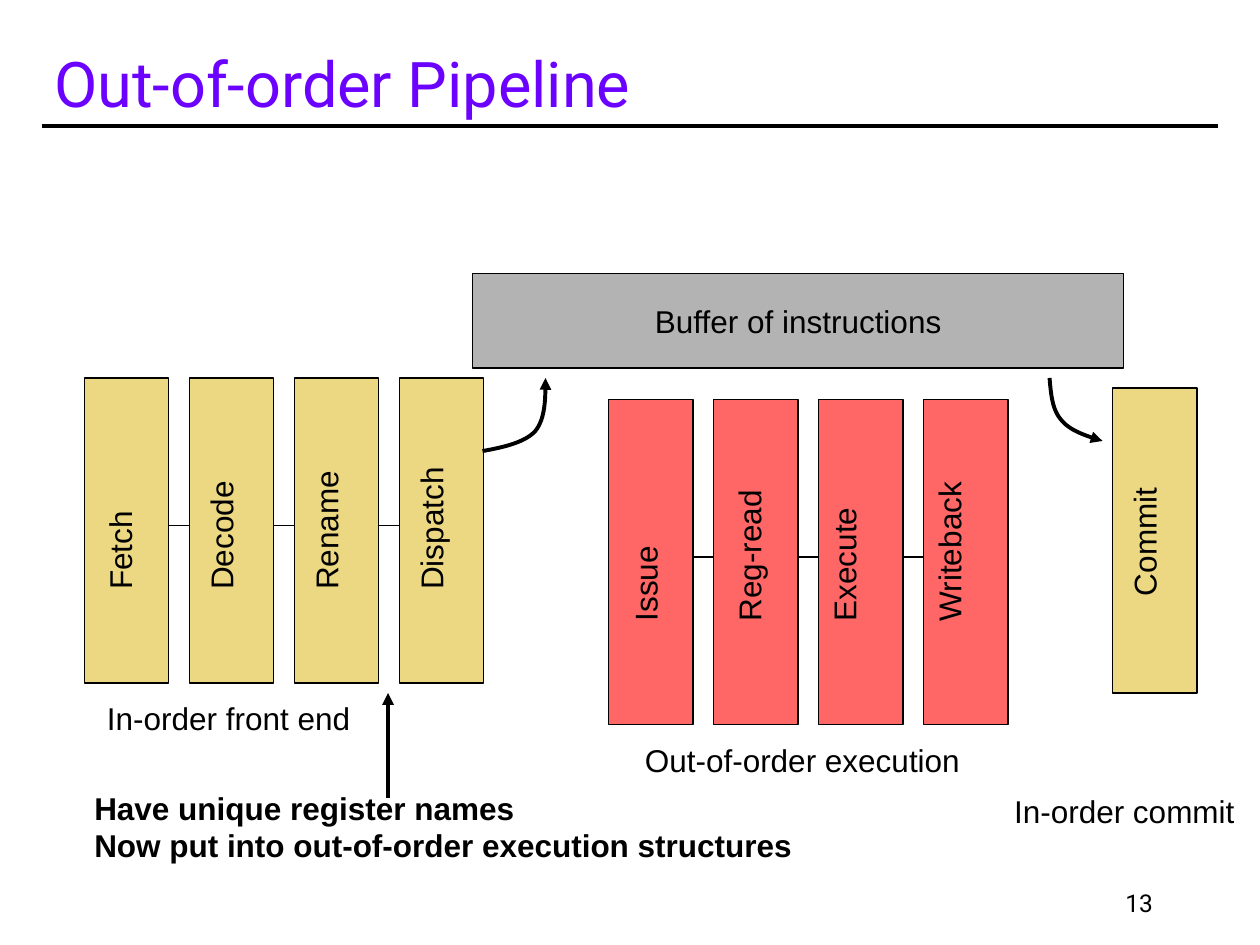
import pptx
import pptx.dml.color
import pptx.enum.shapes
import pptx.enum.text
import pptx.oxml
import pptx.oxml.ns
import pptx.util

Inches = pptx.util.Inches
Pt = pptx.util.Pt
Align = pptx.enum.text.PP_ALIGN
Anchor = pptx.enum.text.MSO_ANCHOR
AutoSize = pptx.enum.text.MSO_AUTO_SIZE

BLACK, PURPLE, GRAY = "000000", "6B02FF", "B3B3B3"
GOLD, RED = "ECD882", "FF6666"
STAGE_WIDTH = 0.67
STAGE_PITCH = 2.5 / 3


def color(value):
    return pptx.dml.color.RGBColor.from_string(value)


def add_element(parent, tag, **attributes):
    element = pptx.oxml.parse_xml(f"<a:{tag} {pptx.oxml.ns.nsdecls('a')}/>")
    for name, value in attributes.items():
        element.set(name, value)
    parent.append(element)


def cubic_points(start, first, second, end, steps=12):
    """Sample a Bezier curve, leaving out its start."""
    for step in range(1, steps + 1):
        t = step / steps
        weights = ((1 - t) ** 3, 3 * t * (1 - t) ** 2, 3 * t * t * (1 - t), t ** 3)
        yield tuple(
            sum(weight * value for weight, value in zip(weights, axis))
            for axis in zip(start, first, second, end)
        )


class Painter:
    def __init__(self, page, font="Arial", size=18):
        self.page = page
        self.shapes = page.shapes
        self.font = font
        self.size = size

    def format_text(self, frame, size=None, font=None, fill=BLACK, bold=False, align=Align.LEFT):
        for para in frame.paragraphs:
            para.alignment = align
            for span in para.runs:
                span.font.size = Pt(size or self.size)
                span.font.name = font or self.font
                span.font.bold = bold
                span.font.color.rgb = color(fill)

    def outline(self, shape, width, arrow=False):
        shape.line.color.rgb = color(BLACK)
        shape.line.width = Pt(width)
        if arrow:
            add_element(shape.line._get_or_add_ln(), "tailEnd", type="triangle")

    def title(self, text, left, top, width, height):
        box = self.shapes.title
        box.left, box.top = Inches(left), Inches(top)
        box.width, box.height = Inches(width), Inches(height)
        frame = box.text_frame
        frame.text = text
        frame.vertical_anchor = Anchor.BOTTOM
        frame.auto_size = AutoSize.NONE
        self.format_text(frame, 36, "Roboto", PURPLE)

    def text(self, text, left, top, width, height, rotation=0, **style):
        box = self.shapes.add_textbox(Inches(left), Inches(top), Inches(width), Inches(height))
        box.rotation = rotation
        frame = box.text_frame
        frame.text = text
        frame.word_wrap = False
        frame.auto_size = AutoSize.SHAPE_TO_FIT_TEXT
        self.format_text(frame, **style)
        return box

    def page_number(self, text, left, top, width, height):
        box = self.text(text, left, top, width, height, size=14, font="Roboto", align=Align.RIGHT)
        box.text_frame.auto_size = AutoSize.NONE
        box.text_frame.word_wrap = True
        box.text_frame.vertical_anchor = Anchor.BOTTOM

    def block(self, left, top, width, height, fill, text=""):
        shape = self.shapes.add_shape(
            pptx.enum.shapes.MSO_SHAPE.RECTANGLE,
            Inches(left), Inches(top), Inches(width), Inches(height))
        shape.shadow.inherit = False
        shape.fill.solid()
        shape.fill.fore_color.rgb = color(fill)
        self.outline(shape, 0.75)
        if text:
            frame = shape.text_frame
            frame.text = text
            frame.word_wrap = False
            frame.vertical_anchor = Anchor.MIDDLE
            self.format_text(frame, align=Align.CENTER)

    def line(self, start, end, width=0.75, arrow=False):
        connector = self.shapes.add_connector(
            pptx.enum.shapes.MSO_CONNECTOR.STRAIGHT, *map(Inches, start + end))
        self.outline(connector, width, arrow)
        add_element(connector._element.spPr, "effectLst")

    def curved_arrow(self, start, *segments):
        """Each segment holds two control points and an end point."""
        points, last = [], start
        for segment in segments:
            points.extend(cubic_points(last, *segment))
            last = segment[-1]
        builder = self.shapes.build_freeform(*map(Inches, start))
        builder.add_line_segments([tuple(map(Inches, point)) for point in points], close=False)
        shape = builder.convert_to_shape()
        shape.shadow.inherit = False
        shape.fill.background()
        self.outline(shape, 2.25, arrow=True)

    def stages(self, left, top, height, fill, text_bottom, link_y, labels):
        """Draw linked stages; a label is a word, its length and its centre's offset."""
        for index, (word, length, offset) in enumerate(labels):
            x = left + index * STAGE_PITCH
            if index:
                self.line((x - STAGE_PITCH + STAGE_WIDTH, link_y), (x, link_y))
            self.block(x, top, STAGE_WIDTH, height, fill)
            center_y = text_bottom - length / 2
            self.text(word, x + offset - length / 2, center_y - 0.25, length, 0.5, rotation=270)


def main():
    deck = pptx.Presentation()
    deck.slide_width, deck.slide_height = Inches(10), Inches(7.5)
    painter = Painter(deck.slides.add_slide(deck.slide_layouts[5]))

    painter.line((0.33, 1), (9.67, 1), 2.25)
    painter.title("Out-of-order Pipeline", 0.33, 0.25, 8.75, 0.75)

    painter.stages(0.67, 3, 2.42, GOLD, 4.78, 4.17, [
        ("Fetch", 1.03, 0.33), ("Decode", 1.35, 0.3),
        ("Rename", 1.46, 0.3), ("Dispatch", 1.5, 0.3)])
    painter.stages(8.83, 3.08, 2.42, GOLD, 4.83, 4.17, [("Commit", 1.35, 0.3)])
    painter.block(3.75, 2.17, 5.17, 0.75, GRAY, "Buffer of instructions")
    painter.curved_arrow(
        (3.83, 3.58),
        ((4, 3.55), (4.17, 3.51), (4.25, 3.42)),
        ((4.33, 3.32), (4.33, 3.16), (4.33, 3)))
    painter.curved_arrow(
        (8.33, 3),
        ((8.34, 3.12), (8.35, 3.25), (8.42, 3.33)),
        ((8.49, 3.42), (8.62, 3.46), (8.75, 3.5)))
    painter.stages(4.83, 3.17, 2.58, RED, 5.03, 4.42, [
        ("Issue", 1, 0.34), ("Reg-read", 1.59, 0.33),
        ("Execute", 1.41, 0.25), ("Writeback", 1.68, 0.25)])

    painter.line((3.08, 6.33), (3.08, 5.5), 2.25, arrow=True)
    painter.text("Have unique register names\nNow put into out-of-order execution structures",
                 0.65, 6.21, 5.8, 0.71, bold=True)
    painter.page_number("13", 7.17, 7, 2.08, 0.33)
    painter.text("In-order front end", 0.75, 5.5, 2.15, 0.4)
    painter.text("Out-of-order execution", 5.02, 5.83, 2.73, 0.4)
    painter.text("In-order commit", 7.95, 6.24, 1.97, 0.4)

    deck.save("out.pptx")


if __name__ == "__main__":
    main()
